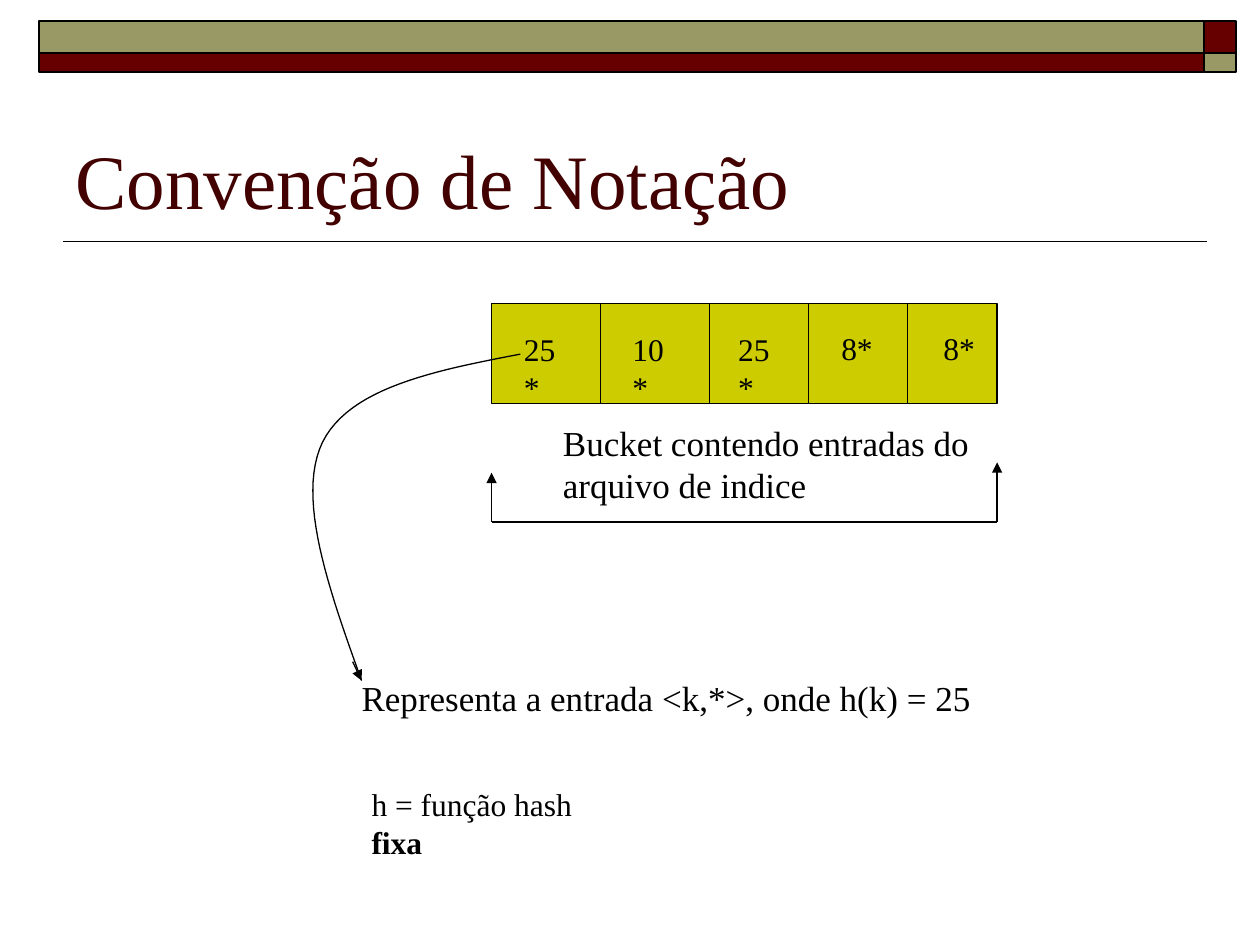
"""Build the slide on bucket notation for hash index entries."""
from dataclasses import dataclass

from lxml import etree
from pptx import Presentation
from pptx import util as u
from pptx.dml.color import RGBColor
from pptx.enum import shapes, text
from pptx.oxml.ns import qn

Cm = u.Cm
FONT = "Times New Roman"
COLORS = {"black": "000000", "wine": "660000", "olive": "999966",
          "title": "420000", "bucket": "CCCC00"}


@dataclass
class Box:
    left: float
    top: float
    width: float
    height: float
    fill: str


@dataclass
class Line:
    x1: float
    y1: float
    x2: float
    y2: float
    weight: float = 0.75
    arrow: bool = False


@dataclass
class Entry:
    label: str
    left: float
    top: float
    width: float


def rgb(name: str) -> RGBColor:
    """Return a named colour."""
    return RGBColor.from_string(COLORS[name])


def add_box(s, box: Box, weight: float = 1):
    """Draw a filled rectangle with a black outline."""
    sp = s.shapes.add_shape(shapes.MSO_SHAPE.RECTANGLE, Cm(box.left), Cm(box.top),
                            Cm(box.width), Cm(box.height))
    sp.shadow.inherit = False
    sp.fill.solid()
    sp.fill.fore_color.rgb = rgb(box.fill)
    sp.line.color.rgb = rgb("black")
    sp.line.width = u.Pt(weight)
    return sp


def add_line(s, line: Line):
    """Draw a straight line, with an arrowhead at its end if asked."""
    sp = s.shapes.add_connector(shapes.MSO_CONNECTOR.STRAIGHT, Cm(line.x1), Cm(line.y1),
                                Cm(line.x2), Cm(line.y2))
    sp.line.color.rgb = rgb("black")
    sp.line.width = u.Pt(line.weight)
    if line.arrow:
        etree.SubElement(sp.line._get_or_add_ln(), qn("a:tailEnd"), type="triangle")
    etree.SubElement(sp._element.spPr, qn("a:effectLst"))
    return sp


def add_text(s, content: str, left: float, top: float, width: float, height: float, *,
             size: float = 18, color: str = "black", wrap: bool = False,
             anchor=text.MSO_ANCHOR.TOP, bold_tail: str = ""):
    """Add a text box with one paragraph a line and an optional bold ending."""
    sp = s.shapes.add_textbox(Cm(left), Cm(top), Cm(width), Cm(height))
    tf = sp.text_frame
    tf.word_wrap = wrap
    tf.auto_size = text.MSO_AUTO_SIZE.NONE if wrap else text.MSO_AUTO_SIZE.SHAPE_TO_FIT_TEXT
    tf.vertical_anchor = anchor
    for i, row in enumerate(content.split("\n")):
        p = tf.add_paragraph() if i else tf.paragraphs[0]
        p.add_run().text = row
    if bold_tail:
        r = p.add_run()
        r.text = bold_tail
        r.font.bold = True
    for p in tf.paragraphs:
        for r in p.runs:
            r.font.name = FONT
            r.font.size = u.Pt(size)
            r.font.color.rgb = rgb(color)
    return sp


def bezier(points: list, steps: int = 24) -> list:
    """Return points along a cubic curve, without its start."""
    def at(t: float, axis: int) -> float:
        a, b, c, d = (pt[axis] for pt in points)
        v = 1 - t
        return v**3 * a + 3 * v * v * t * b + 3 * v * t * t * c + t**3 * d
    return [(Cm(at(i / steps, 0)), Cm(at(i / steps, 1))) for i in range(1, steps + 1)]


def add_curve(s, points: list):
    """Draw an open curve through chained cubic segments."""
    x, y = points[0]
    builder = s.shapes.build_freeform(Cm(x), Cm(y))
    for i in range(0, len(points) - 1, 3):
        builder.add_line_segments(bezier(points[i:i + 4]), close=False)
    sp = builder.convert_to_shape()
    sp.shadow.inherit = False
    sp.fill.background()
    sp.line.color.rgb = rgb("black")
    sp.line.width = u.Pt(0.75)
    return sp


def main() -> None:
    """Draw the slide and save it."""
    prs = Presentation()
    prs.slide_width, prs.slide_height = Cm(25.4), Cm(19.05)
    s = prs.slides.add_slide(prs.slide_layouts[6])

    add_line(s, Line(24.33, 4.87, 1.27, 4.87, weight=1))
    for top, height, long_fill, end_fill in ((0.43, 0.64, "olive", "wine"),
                                             (1.07, 0.38, "wine", "olive")):
        add_box(s, Box(24.28, top, 0.64, height, end_fill))
        add_box(s, Box(0.79, top, 23.49, height, long_fill))
    add_text(s, "Convenção de Notação", 1.27, 1.47, 22.86, 3.18, size=44,
             color="title", wrap=True, anchor=text.MSO_ANCHOR.BOTTOM)

    left, right, top, height, base = 9.91, 20.1, 6.12, 2.01, 10.52
    add_box(s, Box(left, top, right - left, height, "bucket"), weight=0.75)
    for x in (12.1, 14.3, 16.3, 18.3):
        add_line(s, Line(x, top, x, top + height))
    add_line(s, Line(left, base, right, base))
    add_text(s, "Bucket contendo entradas do\narquivo de indice",
             11.1, 8.38, 8.86, 1.96, size=20)
    add_line(s, Line(left, base, left, 9.53, arrow=True))
    add_line(s, Line(right, base, right, 9.32, arrow=True))

    for e in (Entry("25*", 10.31, 6.53, 1.45), Entry("10*", 12.5, 6.53, 1.45),
              Entry("25*", 14.63, 6.53, 1.45), Entry("8*", 16.71, 6.5, 1.14),
              Entry("8*", 18.77, 6.5, 1.14)):
        add_text(s, e.label, e.left, e.top, e.width, 1.02)

    add_curve(s, [(10.49, 7.14), (8.76, 7.47), (7.04, 7.82), (6.5, 8.92),
                  (5.97, 10.03), (6.63, 11.89), (7.29, 13.72)])
    add_line(s, Line(7.11, 13.34, 7.29, 13.72, arrow=True))
    add_text(s, "Representa a entrada <k,*>, onde h(k) = 25",
             7.04, 13.51, 12.8, 1.12, size=20)
    add_text(s, "h = função hash ", 7.24, 15.7, 5.72, 1.02, bold_tail="fixa")
    prs.save("out.pptx")


if __name__ == "__main__":
    main()
